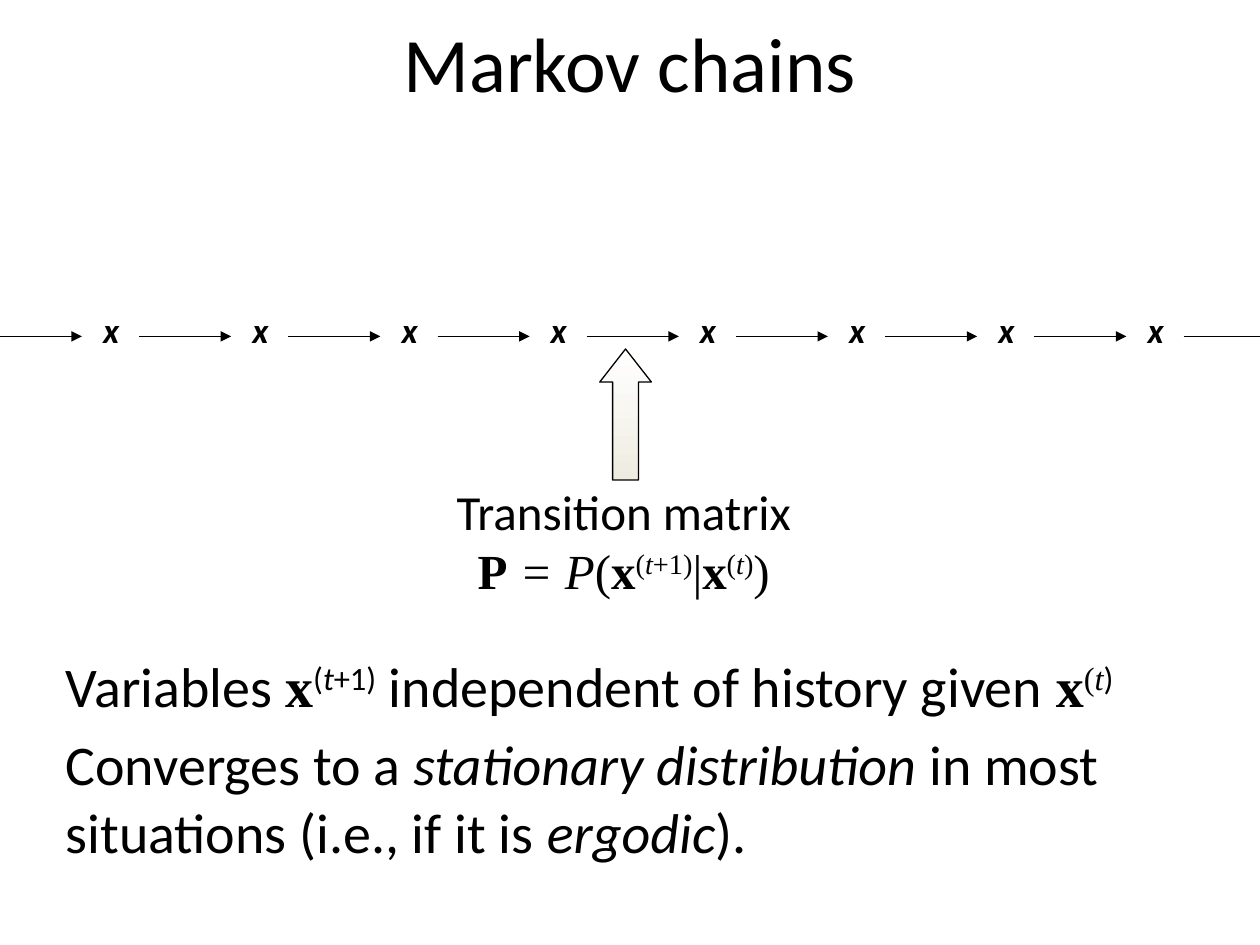
import dataclasses
import typing

import lxml.etree
import pptx
import pptx.dml.color
import pptx.enum.dml
import pptx.enum.shapes
import pptx.enum.text
import pptx.oxml.ns
import pptx.util

SANS = "Calibri"
SERIF = "Times New Roman"
BLACK = "000000"
STATE_COUNT = 8
FIRST_STATE = 0.72
LAST_STATE = 9.01
PITCH = (LAST_STATE - FIRST_STATE) / (STATE_COUNT - 1)
ARROW_START = -0.08
ARROW_LENGTH = 0.73
CHAIN_Y = 2.67


@dataclasses.dataclass(frozen=True)
class Span:
    text: str
    font: str = SANS
    bold: bool = False
    italic: bool = False
    raised: bool = False


@dataclasses.dataclass(frozen=True)
class Area:
    left: float
    top: float
    width: float
    height: float

    def lengths(self) -> list[pptx.util.Length]:
        return [pptx.util.Inches(value) for value in dataclasses.astuple(self)]


def colour(value: str) -> pptx.dml.color.RGBColor:
    return pptx.dml.color.RGBColor.from_string(value)


def add_element(parent: typing.Any, tag: str, **attributes: str) -> None:
    lxml.etree.SubElement(parent, pptx.oxml.ns.qn(tag), **attributes)


def place(shape: typing.Any, area: Area) -> None:
    shape.left, shape.top, shape.width, shape.height = area.lengths()


def write_spans(para: typing.Any, spans: list[Span], size: float) -> None:
    for span in spans:
        run = para.add_run()
        run.text = span.text
        run.font.name = span.font
        run.font.size = pptx.util.Pt(size)
        run.font.bold = span.bold
        run.font.italic = span.italic
        run.font.color.rgb = colour(BLACK)
        if span.raised:
            run.font._element.set("baseline", "30000")


def state_at(step: str, font: str, closing_font: str) -> list[Span]:
    spans = [
        Span("x", SERIF, bold=True),
        Span("(", font, raised=True),
        Span("t", font, italic=True, raised=True),
    ]
    return spans + [Span(step + ")", closing_font, raised=True)]


def add_label(slide: typing.Any, area: Area, lines: list[list[Span]], size: float,
              alignment: typing.Any) -> None:
    box = slide.shapes.add_textbox(*area.lengths())
    frame = box.text_frame
    frame.word_wrap = False
    frame.auto_size = pptx.enum.text.MSO_AUTO_SIZE.SHAPE_TO_FIT_TEXT
    for index, spans in enumerate(lines):
        para = frame.add_paragraph() if index else frame.paragraphs[0]
        para.alignment = alignment
        write_spans(para, spans, size)


def add_chain_arrow(slide: typing.Any, column: int) -> None:
    start = ARROW_START + column * PITCH
    line = slide.shapes.add_connector(
        pptx.enum.shapes.MSO_CONNECTOR.STRAIGHT,
        pptx.util.Inches(start), pptx.util.Inches(CHAIN_Y),
        pptx.util.Inches(start + ARROW_LENGTH), pptx.util.Inches(CHAIN_Y),
    )
    line.line.color.rgb = colour(BLACK)
    line.line.width = pptx.util.Pt(0.75)
    add_element(line.line._get_or_add_ln(), "a:tailEnd", type="triangle")
    add_element(line._element.spPr, "a:effectLst")


def add_pointer(slide: typing.Any, area: Area) -> None:
    pointer = slide.shapes.add_shape(
        pptx.enum.shapes.MSO_SHAPE.UP_ARROW, *area.lengths())
    pointer.adjustments[0] = 0.5
    pointer.adjustments[1] = 0.64
    pointer.shadow.inherit = False
    pointer.fill.gradient()
    pointer.fill.gradient_angle = 90
    for stop, value in zip(pointer.fill.gradient_stops, ("EEECE1", "FFFFFF")):
        stop.color.rgb = colour(value)
    pointer.line.color.rgb = colour(BLACK)
    pointer.line.width = pptx.util.Pt(0.75)


def fill_title(title: typing.Any) -> None:
    place(title, Area(0.5, 0.01, 9, 0.96))
    title.text_frame.vertical_anchor = pptx.enum.text.MSO_ANCHOR.MIDDLE
    para = title.text_frame.paragraphs[0]
    para.alignment = pptx.enum.text.PP_ALIGN.CENTER
    write_spans(para, [Span("Markov chains")], 44)


def fill_body(body: typing.Any) -> None:
    place(body, Area(0.42, 5.12, 9.18, 2.05))
    frame = body.text_frame
    frame.auto_size = pptx.enum.text.MSO_AUTO_SIZE.NONE
    statements = [
        [Span("Variables "), *state_at("+1", SANS, SANS),
         Span(" independent of history given "), *state_at("", SERIF, SANS)],
        [Span("Converges to a "), Span("stationary distribution", italic=True),
         Span(" in most situations (i.e., if it is "),
         Span("ergodic", italic=True), Span(").")],
    ]
    for index, spans in enumerate(statements):
        para = frame.add_paragraph() if index else frame.paragraphs[0]
        properties = para._p.get_or_add_pPr()
        properties.set("marL", "0")
        properties.set("indent", "0")
        add_element(properties, "a:buNone")
        para.space_before = pptx.util.Pt(6.4 if index else 0)
        write_spans(para, spans, 32)


def main() -> None:
    deck = pptx.Presentation()
    deck.slide_width = pptx.util.Inches(10)
    deck.slide_height = pptx.util.Inches(7.5)
    slide = deck.slides.add_slide(deck.slide_layouts[1])
    fill_title(slide.shapes.title)
    fill_body(slide.placeholders[1])

    state = [[Span("x", bold=True, italic=True)]]
    for column in range(STATE_COUNT):
        area = Area(FIRST_STATE + column * PITCH, 2.4, 0.4, 0.44)
        add_label(slide, area, state, 20, pptx.enum.text.PP_ALIGN.LEFT)
    for column in range(STATE_COUNT + 1):
        add_chain_arrow(slide, column)

    add_pointer(slide, Area(4.76, 2.77, 0.41, 1.04))
    matrix = [
        [Span("Transition matrix")],
        [Span("P", SERIF, bold=True), Span(" = P", SERIF, italic=True),
         Span("(", SERIF), *state_at("+1", SERIF, SERIF), Span("|", SERIF),
         *state_at("", SERIF, SERIF), Span(")", SERIF)],
    ]
    add_label(slide, Area(3.51, 3.77, 2.88, 1.04), matrix, 28,
              pptx.enum.text.PP_ALIGN.CENTER)
    deck.save("out.pptx")


if __name__ == "__main__":
    main()
